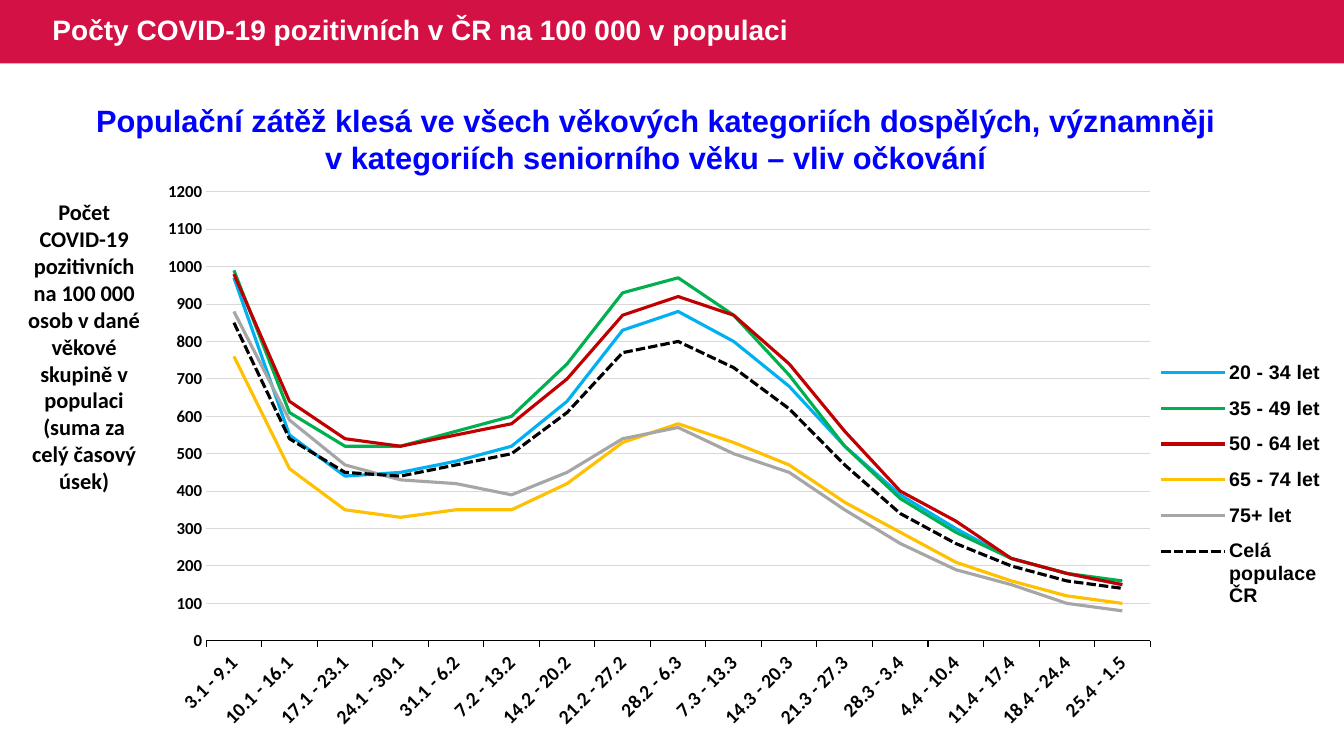
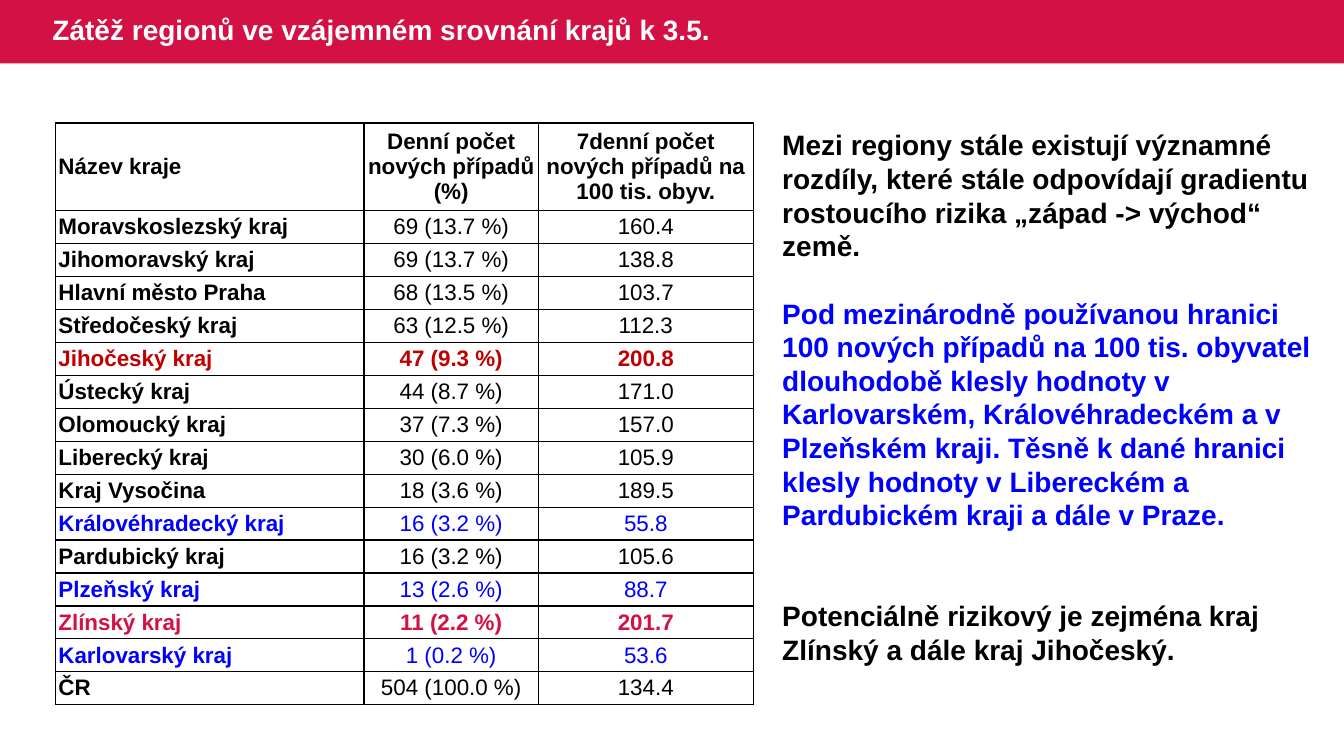
from dataclasses import dataclass

from lxml import etree
from pptx import Presentation
from pptx.chart.data import CategoryChartData
from pptx.dml.color import RGBColor
from pptx.enum.chart import XL_CHART_TYPE, XL_LEGEND_POSITION, XL_TICK_MARK
from pptx.enum.dml import MSO_LINE
from pptx.enum.shapes import MSO_SHAPE
from pptx.enum.text import MSO_ANCHOR, MSO_AUTO_SIZE, PP_ALIGN
from pptx.oxml.ns import qn
from pptx.util import Inches, Pt

LEFT, CENTER = PP_ALIGN.LEFT, PP_ALIGN.CENTER
MIDDLE = MSO_ANCHOR.MIDDLE
NO_TICK, OUT_TICK = XL_TICK_MARK.NONE, XL_TICK_MARK.OUTSIDE
DASH = MSO_LINE.SQUARE_DOT


@dataclass(frozen=True)
class Theme:
    sans: str = "Arial"
    plain: str = "Calibri"
    brand: str = "D31145"
    white: str = "FFFFFF"
    black: str = "000000"
    blue: str = "0000FF"
    red: str = "C00000"
    grid: str = "D9D9D9"
    title: int = 20
    lead: int = 22
    body: int = 20
    note: int = 16
    cell: int = 16
    label: int = 14
    scale: int = 12
    curve: float = 2.25
    hair: float = 0.75


T = Theme()

WIDTH, HEIGHT, BAND = 13.33, 7.5, 0.63

TREND = "Počty COVID-19 pozitivních v ČR na 100 000 v populaci"
LEAD = [
    "Populační zátěž klesá ve všech věkových kategoriích dospělých, významněji",
    "v kategoriích seniorního věku – vliv očkování",
]
NOTE = ("Počet COVID-19 pozitivních na 100 000 osob v dané věkové skupině "
        "v populaci (suma za celý časový úsek)")
WEEKS = [
    "3.1 - 9.1", "10.1 - 16.1", "17.1 - 23.1", "24.1 - 30.1", "31.1 - 6.2",
    "7.2 - 13.2", "14.2 - 20.2", "21.2 - 27.2", "28.2 - 6.3", "7.3 - 13.3",
    "14.3 - 20.3", "21.3 - 27.3", "28.3 - 3.4", "4.4 - 10.4", "11.4 - 17.4",
    "18.4 - 24.4", "25.4 - 1.5",
]
AGES = [
    ("20 - 34 let", "00B0F0", None,
     [970, 550, 440, 450, 480, 520, 640, 830, 880, 800, 680, 520, 390, 300, 220, 180, 150]),
    ("35 - 49 let", "00B050", None,
     [990, 610, 520, 520, 560, 600, 740, 930, 970, 870, 710, 520, 380, 290, 220, 180, 160]),
    ("50 - 64 let", T.red, None,
     [980, 640, 540, 520, 550, 580, 700, 870, 920, 870, 740, 560, 400, 320, 220, 180, 150]),
    ("65 - 74 let", "FFC000", None,
     [760, 460, 350, 330, 350, 350, 420, 530, 580, 530, 470, 370, 290, 210, 160, 120, 100]),
    ("75+ let", "A6A6A6", None,
     [880, 590, 470, 430, 420, 390, 450, 540, 570, 500, 450, 350, 260, 190, 150, 100, 80]),
    ("Celá populace ČR", T.black, DASH,
     [850, 540, 450, 440, 470, 500, 610, 770, 800, 730, 620, 470, 340, 260, 200, 160, 140]),
]

REGIONS = "Zátěž regionů ve vzájemném srovnání krajů k 3.5."
HEAD = ("Název kraje", "Denní počet nových případů (%)",
        "7denní počet nových případů na 100 tis. obyv.")
ROWS = [
    ("Moravskoslezský kraj", "69 (13.7 %)", "160.4"),
    ("Jihomoravský kraj", "69 (13.7 %)", "138.8"),
    ("Hlavní město Praha", "68 (13.5 %)", "103.7"),
    ("Středočeský kraj", "63 (12.5 %)", "112.3"),
    ("Jihočeský kraj", "47 (9.3 %)", "200.8"),
    ("Ústecký kraj", "44 (8.7 %)", "171.0"),
    ("Olomoucký kraj", "37 (7.3 %)", "157.0"),
    ("Liberecký kraj", "30 (6.0 %)", "105.9"),
    ("Kraj Vysočina", "18 (3.6 %)", "189.5"),
    ("Královéhradecký kraj", "16 (3.2 %)", "55.8"),
    ("Pardubický kraj", "16 (3.2 %)", "105.6"),
    ("Plzeňský kraj", "13 (2.6 %)", "88.7"),
    ("Zlínský kraj", "11 (2.2 %)", "201.7"),
    ("Karlovarský kraj", "1 (0.2 %)", "53.6"),
    ("ČR", "504 (100.0 %)", "134.4"),
]
RISK = {"Jihočeský kraj": T.red, "Zlínský kraj": T.brand}
LOW = dict.fromkeys(("Královéhradecký kraj", "Plzeňský kraj", "Karlovarský kraj"), T.blue)
TINTS = {**RISK, **LOW}
COLS = (3.06, 1.73, 2.13)
TOP, ROW = 0.87, 0.32
NOTES = [
    ("Mezi regiony stále existují významné rozdíly, které stále odpovídají gradientu "
     "rostoucího rizika „západ -> východ“ země.", T.black, 0),
    ("Pod mezinárodně používanou hranici 100 nových případů na 100 tis. obyvatel "
     "dlouhodobě klesly hodnoty v Karlovarském, Královéhradeckém a v Plzeňském kraji. "
     "Těsně k dané hranici klesly hodnoty v Libereckém a Pardubickém kraji a dále v Praze.",
     T.blue, 24),
    ("Potenciálně rizikový je zejména kraj Zlínský a dále kraj Jihočeský.", T.black, 48),
]


def rgb(code):
    return RGBColor.from_string(code)


def box(*sides):
    return [Inches(side) for side in sides]


def style(font, size, color=T.black, name=T.sans, bold=True):
    font.size, font.name, font.bold = Pt(size), name, bold
    font.color.rgb = rgb(color)


def format_text(para, size, color=T.black, name=T.sans, bold=True, align=LEFT):
    para.alignment = align
    for run in para.runs:
        style(run.font, size, color, name, bold)


def add_text(slide, area, paras, size, name=T.sans, align=LEFT):
    frame = slide.shapes.add_textbox(*box(*area)).text_frame
    frame.word_wrap = True
    frame.text = "\n".join(text for text, _, _ in paras)
    for para, (_, color, gap) in zip(frame.paragraphs, paras):
        format_text(para, size, color, name, align=align)
        if gap:
            para.space_before = Pt(gap)


def add_slide(prs, layout, text):
    slide = prs.slides.add_slide(layout)
    frame = slide.shapes.title.text_frame
    frame.text = text
    frame.auto_size = MSO_AUTO_SIZE.NONE
    frame.vertical_anchor = MIDDLE
    para = frame.paragraphs[0]
    para.line_spacing = 0.9
    format_text(para, T.title, T.white)
    return slide


def set_layout(layout):
    title = layout.placeholders[0]
    title.left, title.top, title.width, title.height = box(0.42, 0, 8.37, BAND)


def move_band(slide, layout):
    band = slide.shapes.add_shape(MSO_SHAPE.RECTANGLE, *box(0, 0, WIDTH, BAND))
    band.shadow.inherit = False
    band.fill.solid()
    band.fill.fore_color.rgb = rgb(T.brand)
    band.line.fill.background()
    layout.shapes._spTree.insert(2, band._element)


def place(node, index, area, inner=False):
    for old in node.findall(qn("c:layout")):
        node.remove(old)
    outer = etree.Element(qn("c:layout"))
    manual = etree.SubElement(outer, qn("c:manualLayout"))
    parts = [("layoutTarget", "inner")] if inner else []
    parts += [("xMode", "edge"), ("yMode", "edge"), *zip("xywh", area)]
    for tag, value in parts:
        etree.SubElement(manual, qn("c:" + tag)).set("val", str(value))
    node.insert(index, outer)


def set_line(line, color, width):
    line.color.rgb = rgb(color)
    line.width = Pt(width)


def add_trend(slide):
    data = CategoryChartData()
    data.categories = WEEKS
    for name, _, _, values in AGES:
        data.add_series(name, values)
    chart = slide.shapes.add_chart(
        XL_CHART_TYPE.LINE, *box(1.52, 1.75, 11.66, 5.87), data).chart
    style(chart.font, T.label)
    chart.has_title = False
    plot = chart.plots[0]
    plot.vary_by_categories = False
    for line, (_, color, dash, _) in zip(plot.series, AGES):
        line.smooth = False
        set_line(line.format.line, color, T.curve)
        if dash:
            line.format.line.dash_style = dash

    weeks, scale = chart.category_axis, chart.value_axis
    for axis, tick, size in ((weeks, OUT_TICK, T.label), (scale, NO_TICK, T.scale)):
        axis.major_tick_mark, axis.minor_tick_mark = tick, NO_TICK
        style(axis.tick_labels.font, size, name=T.plain)
    set_line(weeks.format.line, T.black, T.hair)
    weeks._element.find(qn("c:txPr")).find(qn("a:bodyPr")).set("rot", "-2700000")
    scale.minimum_scale, scale.maximum_scale, scale.major_unit = 0, 1200, 100
    scale.format.line.fill.background()
    set_line(scale.major_gridlines.format.line, T.grid, T.hair)

    chart.has_legend = True
    legend = chart.legend
    legend.position = XL_LEGEND_POSITION.RIGHT
    legend.include_in_layout = False
    style(legend.font, T.label)
    place(legend._element, 1, (0.85, 0.29, 0.15, 0.46))
    area = chart._chartSpace.find(qn("c:chart")).find(qn("c:plotArea"))
    place(area, 0, (0.045, 0.026, 0.803, 0.759), True)


def add_border(cell):
    props = cell._tc.get_or_add_tcPr()
    for index, side in enumerate(("lnL", "lnR", "lnT", "lnB")):
        line = etree.Element(qn("a:" + side), w=str(Pt(1)))
        fill = etree.SubElement(line, qn("a:solidFill"))
        etree.SubElement(fill, qn("a:srgbClr"), val=T.black)
        props.insert(index, line)


def add_regions(slide):
    rows = [HEAD, *ROWS]
    area = box(0.55, 1.22, sum(COLS), TOP + ROW * len(ROWS))
    table = slide.shapes.add_table(len(rows), len(COLS), *area).table
    table.first_row = table.horz_banding = False
    for col, width in zip(table.columns, COLS):
        col.width = Inches(width)
    for y, row in enumerate(rows):
        table.rows[y].height = Inches(ROW if y else TOP)
        color = TINTS.get(row[0], T.black)
        for x, text in enumerate(row):
            cell = table.cell(y, x)
            cell.text = text
            cell.vertical_anchor = MIDDLE
            cell.margin_left = cell.margin_right = Inches(0.03)
            cell.margin_top = cell.margin_bottom = Inches(0.03)
            cell.fill.background()
            add_border(cell)
            bold = x == 0 or y == 0 or row[0] in RISK
            format_text(cell.text_frame.paragraphs[0], T.cell, color,
                        bold=bold, align=CENTER if x else LEFT)


def main():
    prs = Presentation()
    prs.slide_width, prs.slide_height = box(WIDTH, HEIGHT)
    layout = prs.slide_layouts[5]
    set_layout(layout)

    trend = add_slide(prs, layout, TREND)
    move_band(trend, layout)
    add_trend(trend)
    add_text(trend, (0.15, 1.92, 1.37, 3.06), [(NOTE, T.black, 0)],
             T.note, T.plain, CENTER)
    add_text(trend, (0.3, 0.96, 12.41, 0.84), [(text, T.blue, 0) for text in LEAD],
             T.lead, align=CENTER)

    regions = add_slide(prs, layout, REGIONS)
    add_text(regions, (7.66, 1.22, 5.45, 5.49), NOTES, T.body)
    add_regions(regions)
    prs.save("out.pptx")


if __name__ == "__main__":
    main()
